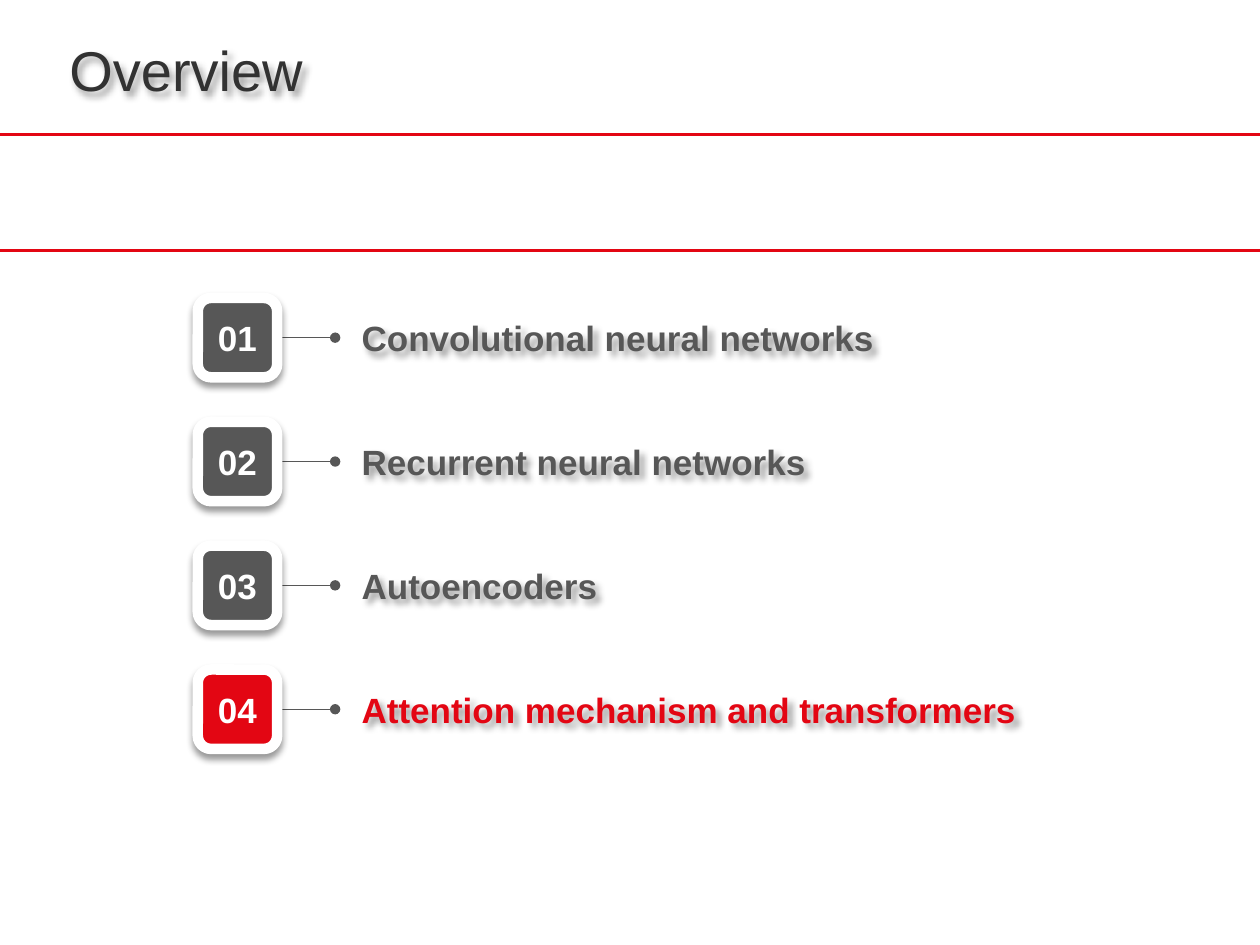
from lxml.etree import SubElement
from pptx import Presentation
from pptx.dml.color import RGBColor
from pptx.enum.shapes import MSO_CONNECTOR as Connector, MSO_SHAPE as Shape
from pptx.enum.text import MSO_ANCHOR as Anchor, MSO_AUTO_SIZE as AutoSize, PP_ALIGN as Align
from pptx.oxml.ns import qn
from pptx.util import Inches, Pt

TITLE = "Overview"
TOPICS = [
    "Convolutional neural networks",
    "Recurrent neural networks",
    "Autoencoders",
    "Attention mechanism and transformers",
]
CURRENT_TOPIC = 4

THEME = {
    "font": "Arial",
    "title_size": 32,
    "topic_size": 20,
    "title": "323232",
    "muted": "575757",
    "accent": "E30613",
    "white": "FFFFFF",
    "shadow": "000000",
}

RULE_TOPS = (1.07, 1.99)
FIRST_CENTRE, ROW_STEP = 2.68, 0.983
BADGE_LEFT, BADGE_SIZE = 1.57, 0.63
LINK_LEFT, LINK_RIGHT = 1.73, 2.66
LABEL_LEFT, LABEL_WIDTH, LABEL_HEIGHT = 2.87, 6.3, 0.79


def colour(name):
    return RGBColor.from_string(THEME[name])


def write(shape, text, size, color, bold=False, align=Align.LEFT):
    frame = shape.text_frame
    frame.word_wrap = True
    frame.auto_size = AutoSize.NONE
    frame.vertical_anchor = Anchor.MIDDLE
    frame.margin_left = frame.margin_right = frame.margin_top = frame.margin_bottom = 0
    paragraph = frame.paragraphs[0]
    paragraph.text = text
    paragraph.alignment = align
    font = paragraph.runs[0].font
    font.name, font.size, font.bold = THEME["font"], Pt(size), bold
    font.color.rgb = colour(color)


def cast_shadow(shape, angle):
    shape.shadow.inherit = False
    effects = shape._element.spPr.find(qn("a:effectLst"))
    shadow = SubElement(effects, qn("a:outerShdw"), blurRad=str(Pt(4)), dist=str(Pt(3)),
                        dir=str(angle * 60000), algn="tl", rotWithShape="0")
    tint = SubElement(shadow, qn("a:srgbClr"), val=THEME["shadow"])
    SubElement(tint, qn("a:alpha"), val="40000")


def add_line(slide, left, right, top, color, width, ends=None):
    line = slide.shapes.add_connector(
        Connector.STRAIGHT, Inches(left), Inches(top), Inches(right), Inches(top))
    line.line.color.rgb = colour(color)
    line.line.width = Pt(width)
    if ends:
        for tag in ("a:headEnd", "a:tailEnd"):
            SubElement(line.line._get_or_add_ln(), qn(tag), type=ends)
    SubElement(line._element.spPr, qn("a:effectLst"))


def add_title(slide):
    title = slide.shapes.title
    title.left, title.top = Inches(0.55), Inches(0.08)
    title.width, title.height = Inches(8.86), Inches(0.94)
    write(title, TITLE, THEME["title_size"], "title")
    cast_shadow(title, 45)


def add_topic(slide, number, topic):
    centre = FIRST_CENTRE + (number - 1) * ROW_STEP
    color = "accent" if number == CURRENT_TOPIC else "muted"

    label = slide.shapes.add_textbox(
        Inches(LABEL_LEFT), Inches(centre - LABEL_HEIGHT / 2),
        Inches(LABEL_WIDTH), Inches(LABEL_HEIGHT))
    write(label, topic, THEME["topic_size"], color, bold=True)
    cast_shadow(label, 45)

    add_line(slide, LINK_LEFT, LINK_RIGHT, centre, "muted", 0.75, ends="oval")

    badge = slide.shapes.add_shape(
        Shape.ROUNDED_RECTANGLE, Inches(BADGE_LEFT), Inches(centre - BADGE_SIZE / 2),
        Inches(BADGE_SIZE), Inches(BADGE_SIZE))
    badge.fill.solid()
    badge.fill.fore_color.rgb = colour(color)
    badge.line.color.rgb = colour("white")
    badge.line.width = Pt(6)
    write(badge, f"{number:02}", THEME["topic_size"], "white", bold=True, align=Align.CENTER)
    cast_shadow(badge, 90)


def main():
    presentation = Presentation()
    presentation.slide_width, presentation.slide_height = Inches(10), Inches(7.5)
    slide = presentation.slides.add_slide(presentation.slide_layouts.get_by_name("Title Only"))
    for top in RULE_TOPS:
        add_line(slide, 0, 10, top, "accent", 1.5)
    add_title(slide)
    for number, topic in enumerate(TOPICS, start=1):
        add_topic(slide, number, topic)
    presentation.save("out.pptx")


if __name__ == "__main__":
    main()
